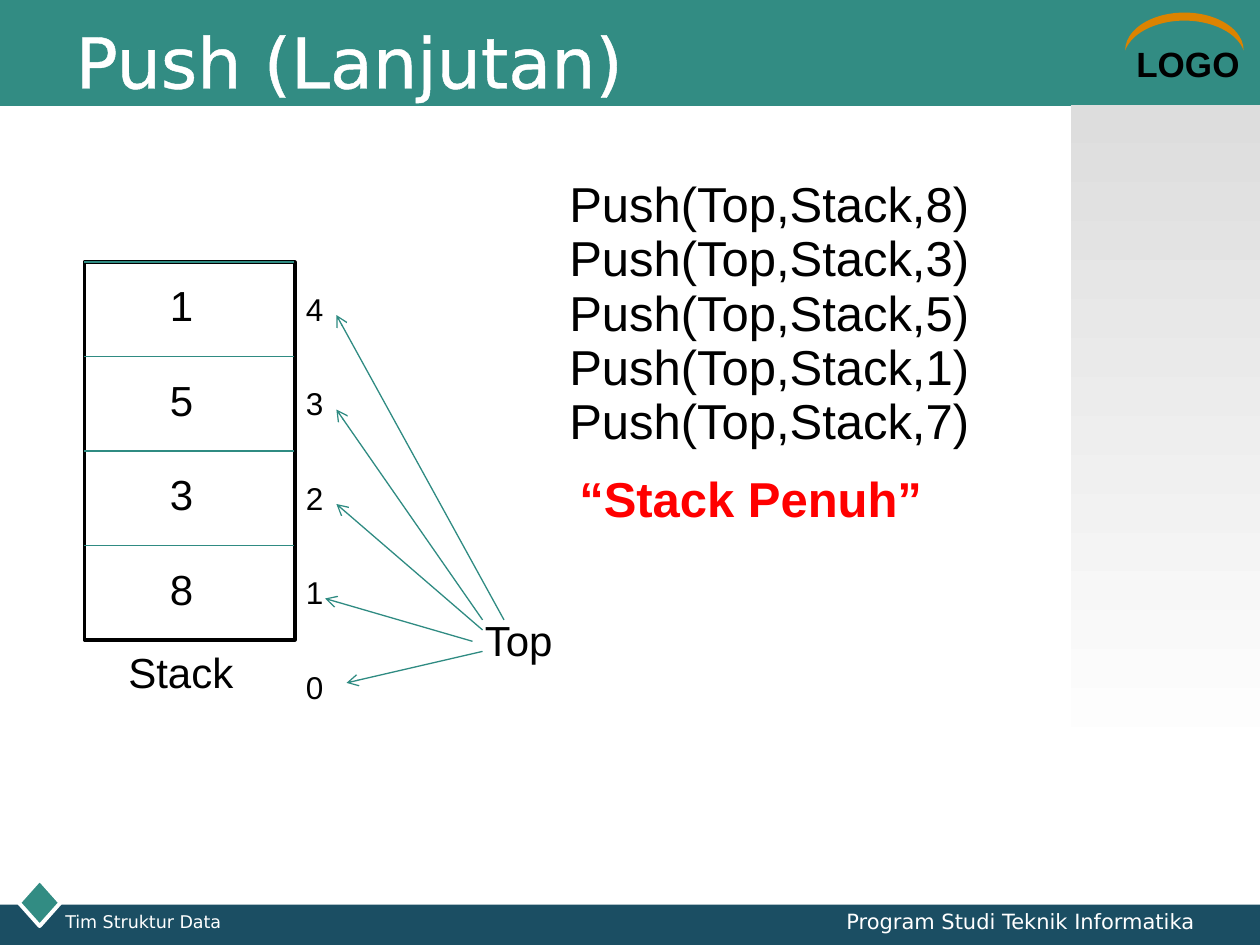
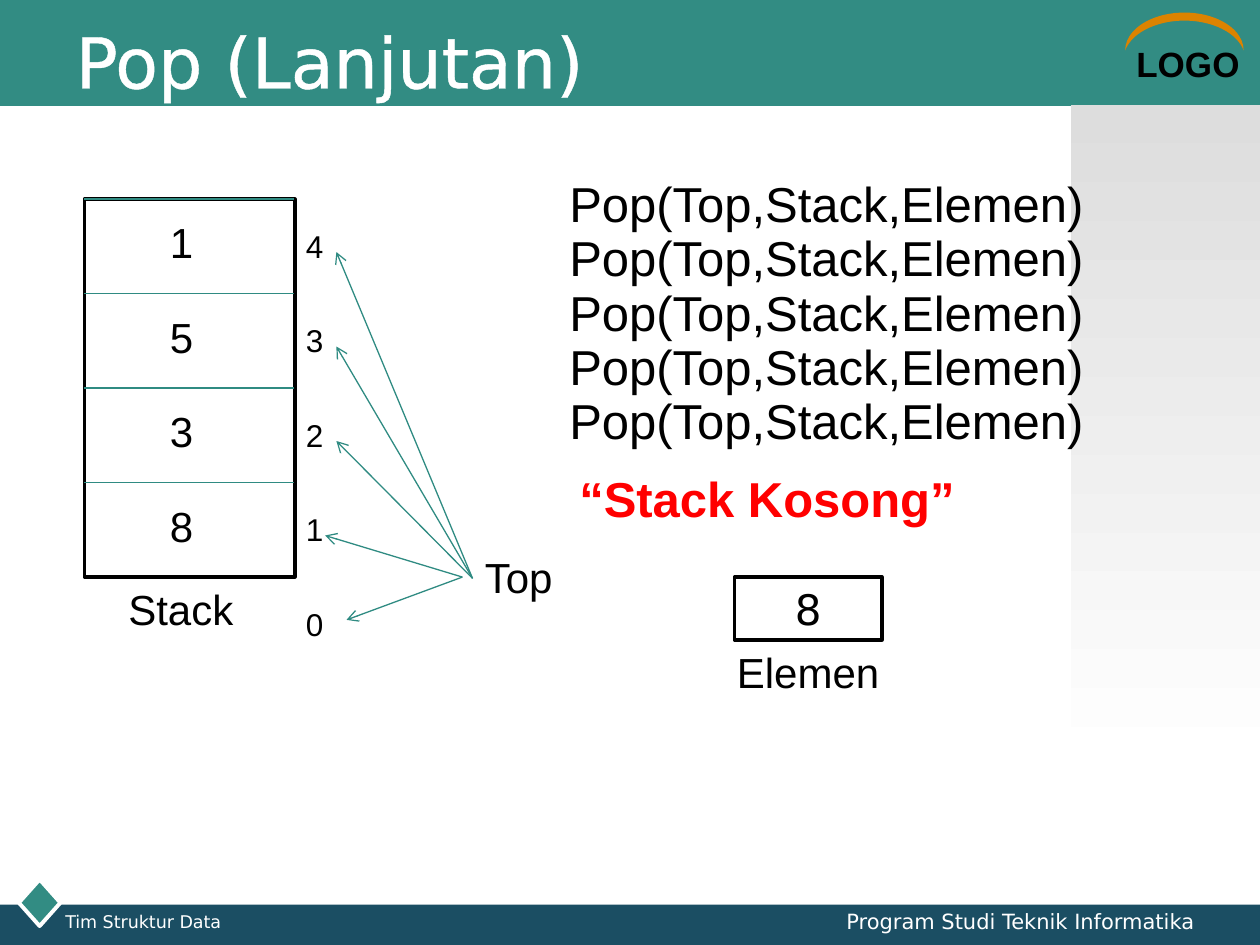
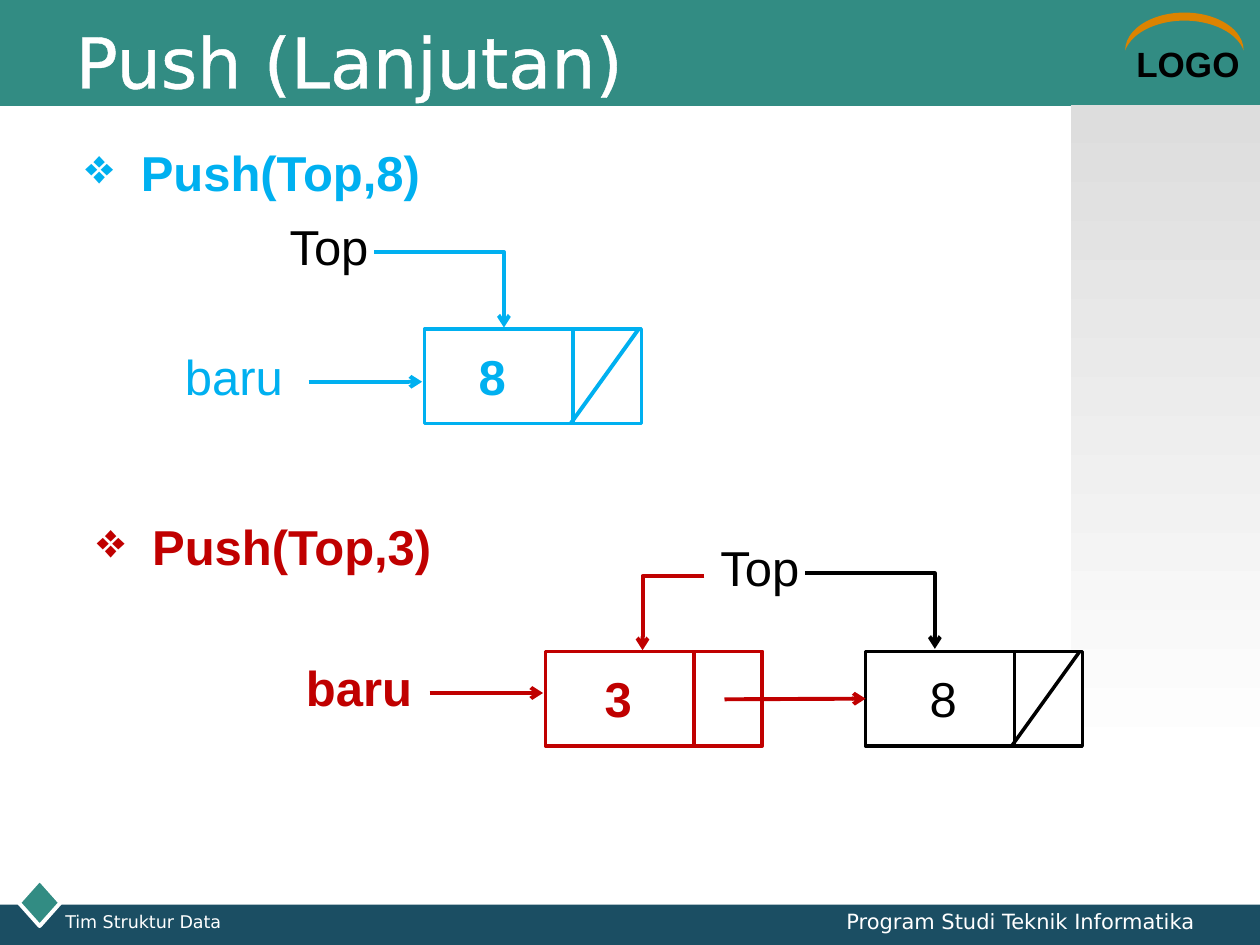
from lxml.etree import SubElement
from pptx import Presentation
from pptx.dml.color import RGBColor
from pptx.enum.shapes import MSO_CONNECTOR, MSO_SHAPE
from pptx.enum.text import MSO_ANCHOR, MSO_AUTO_SIZE, PP_ALIGN
from pptx.oxml import parse_xml
from pptx.oxml.ns import nsdecls, qn
from pptx.util import Inches, Pt

TEAL = RGBColor(0x32, 0x8C, 0x83)
LINE_TEAL = RGBColor(0x2F, 0x8B, 0x82)
NAVY = RGBColor(0x1B, 0x4E, 0x63)
ORANGE = RGBColor(0xDC, 0x83, 0x00)
GREY = RGBColor(0xDD, 0xDD, 0xDD)
WHITE = RGBColor(0xFF, 0xFF, 0xFF)
BLACK = RGBColor(0x00, 0x00, 0x00)
RED = RGBColor(0xFF, 0x00, 0x00)
SKY = RGBColor(0x00, 0xB0, 0xF0)
CRIMSON = RGBColor(0xC0, 0x00, 0x00)

ARIAL = "Arial"
DEJAVU = "DejaVu Sans"

CELL_HEIGHT = 0.75
CALL_STEP = 0.43
POINTER_TIPS = [(2.67, 0.42), (2.67, 1.17), (2.67, 1.92), (2.58, 2.67), (2.75, 3.34)]


def style(paragraph, size, color, font=ARIAL, bold=False):
    paragraph.font.size = Pt(size)
    paragraph.font.name = font
    paragraph.font.bold = bold
    paragraph.font.color.rgb = color


def add_text(slide, text, left, top, width, height, size,
             color=BLACK, font=ARIAL, bold=False, align=PP_ALIGN.LEFT):
    box = slide.shapes.add_textbox(Inches(left), Inches(top), Inches(width), Inches(height))
    box.text_frame.word_wrap = True
    paragraph = box.text_frame.paragraphs[0]
    paragraph.text = text
    paragraph.alignment = align
    style(paragraph, size, color, font, bold)
    return box


def add_block(slide, left, top, width, height, fill=WHITE, line=None, weight=2,
              preset=MSO_SHAPE.RECTANGLE):
    block = slide.shapes.add_shape(
        preset, Inches(left), Inches(top), Inches(width), Inches(height))
    block.shadow.inherit = False
    block.fill.solid()
    block.fill.fore_color.rgb = fill
    if line is None:
        block.line.fill.background()
    else:
        block.line.color.rgb = line
        block.line.width = Pt(weight)
    return block


def add_line(slide, start, end, color=LINE_TEAL, weight=0.75, arrow=False, bent=False):
    kind = MSO_CONNECTOR.ELBOW if bent else MSO_CONNECTOR.STRAIGHT
    line = slide.shapes.add_connector(kind, *map(Inches, start + end))
    line.line.color.rgb = color
    line.line.width = Pt(weight)
    properties = line.element.find(qn("p:spPr"))
    if bent:
        properties.find(qn("a:prstGeom")).set("prst", "bentConnector2")
    if arrow:
        SubElement(properties.find(qn("a:ln")), qn("a:tailEnd"), type="arrow")
    SubElement(properties, qn("a:effectLst"))
    return line


def add_side_panel(slide):
    panel = add_block(slide, 8.5, 0.83, 1.5, 5.25)
    panel.fill.gradient()
    panel.fill.gradient_angle = 270
    for stop, color in zip(panel.fill.gradient_stops, (GREY, WHITE)):
        stop.color.rgb = color
    return panel


def add_arc(slide):
    arc = add_block(slide, 9.25, -0.22, 0.3, 0.94, ORANGE, preset=MSO_SHAPE.MOON)
    arc.adjustments[0] = 0.212
    arc.rotation = 90
    return arc


def share_frame(layout, slide):
    frame = [
        add_block(slide, 0, 0, 10, 0.84, TEAL),
        add_block(slide, 0, 7.18, 10, 0.33, NAVY),
        add_block(slide, 0.15, 6.98, 0.33, 0.37, TEAL, WHITE, 2.25, MSO_SHAPE.DIAMOND),
        add_text(slide, "LOGO", 8.92, 0.29, 1.08, 0.43, 20, bold=True),
        add_arc(slide),
        add_side_panel(slide),
        add_text(slide, "Tim Struktur Data", 0.42, 7.18, 2.67, 0.23, 10, WHITE, DEJAVU),
        add_text(slide, "Program Studi Teknik Informatika", 6.33, 7.16, 3.25, 0.34, 12,
                 WHITE, DEJAVU, align=PP_ALIGN.RIGHT),
    ]
    for part in frame:
        layout.shapes.element.append(part.element)


def set_title(slide, text):
    title = slide.shapes.title
    title.left, title.top, title.width, title.height = map(Inches, (0.5, 0.17, 9, 0.62))
    title.text_frame.auto_size = MSO_AUTO_SIZE.NONE
    title.text_frame.vertical_anchor = MSO_ANCHOR.MIDDLE
    paragraph = title.text_frame.paragraphs[0]
    paragraph.text = text
    paragraph.alignment = PP_ALIGN.LEFT
    style(paragraph, 40, WHITE, DEJAVU)
    outline = parse_xml(
        f'<a:ln {nsdecls("a")} w="{Pt(1.45)}"><a:solidFill>'
        f'<a:srgbClr val="{WHITE}"/></a:solidFill></a:ln>')
    title.element.find(".//" + qn("a:defRPr")).insert(0, outline)


def add_stack(slide, top, pointer_starts):
    add_block(slide, 0.67, top, 1.67, 4 * CELL_HEIGHT, line=BLACK)
    for row, value in enumerate("1538"):
        cell_top = top + row * CELL_HEIGHT
        add_line(slide, (0.67, cell_top), (2.33, cell_top))
        add_text(slide, value, 1.25, cell_top + 0.09, 0.5, 0.5, 24)
    for row in range(5):
        add_text(slide, str(4 - row), 2.33, top + 0.17 + row * CELL_HEIGHT, 0.42, 0.4, 18)
    add_text(slide, "Stack", 0.92, top + 3, 1.17, 0.5, 24)
    add_text(slide, "Top", 3.75, top + 2.75, 1.33, 0.5, 24)
    for start, (tip_left, tip_drop) in zip(pointer_starts, POINTER_TIPS):
        add_line(slide, start, (tip_left, top + tip_drop), arrow=True)


def add_calls(slide, calls, result):
    for row, call in enumerate(calls):
        add_text(slide, call, 4.42, 1.33 + row * CALL_STEP, 5.58, 0.57, 28)
    add_text(slide, result, 4.5, 3.67, 5.5, 0.57, 28, RED, bold=True)


def add_element_box(slide):
    add_text(slide, "Elemen", 5.75, 5.08, 1.83, 0.5, 24)
    element = add_block(slide, 5.83, 4.58, 1.17, 0.5, line=BLACK)
    element.text_frame.vertical_anchor = MSO_ANCHOR.MIDDLE
    paragraph = element.text_frame.paragraphs[0]
    paragraph.text = "8"
    paragraph.alignment = PP_ALIGN.CENTER
    style(paragraph, 24, BLACK, DEJAVU)


def add_heading(slide, text, left, top, color):
    heading = add_text(slide, text, left, top, 3.5, 0.57, 28, color, bold=True)
    properties = heading.element.find(".//" + qn("a:pPr"))
    properties.set("marL", str(Inches(0.44)))
    properties.set("indent", str(-Inches(0.44)))
    bullet = parse_xml(f'<a:buChar {nsdecls("a")} char="❖"/>')
    properties.insert(0, bullet)


def add_node(slide, left, top, value, value_shift, color, bold, last, weight=2.25):
    node = add_block(slide, left, top, 1.72, 0.75, line=color)
    add_line(slide, (left + 1.18, top), (left + 1.18, top + 0.75), color, weight)
    if last:
        add_line(slide, (left + 1.7, top), (left + 1.16, top + 0.75), color, weight)
    add_text(slide, value, left + value_shift, top + 0.09, 0.63, 0.57, 28, color, bold=bold)
    return node


def add_new_pointer(slide, left, top, color, bold=False):
    add_text(slide, "baru", left, top, 1.26, 0.57, 28, color, bold=bold)
    add_line(slide, (left + 1.08, top + 0.33), (left + 1.98, top + 0.33),
             color, 2.25, arrow=True)


def add_top_pointer(slide, left, top, color):
    add_text(slide, "Top", left, top, 1.26, 0.57, 28)
    add_line(slide, (left + 0.77, top + 0.33), (left + 1.8, top + 0.93),
             color, 2.25, arrow=True, bent=True)


def build_push_array(slide):
    set_title(slide, "Push (Lanjutan)")
    add_stack(slide, 2.08, [(4, 4.92), (3.83, 4.92), (3.83, 5), (3.75, 5.09), (3.83, 5.17)])
    add_calls(slide, [f"Push(Top,Stack,{value})" for value in "83517"], "“Stack Penuh”")


def build_pop_array(slide):
    set_title(slide, "Pop (Lanjutan)")
    add_stack(slide, 1.58, [(3.75, 4.59)] * 3 + [(3.67, 4.58)] * 2)
    add_calls(slide, ["Pop(Top,Stack,Elemen)"] * 5, "“Stack Kosong”")
    add_element_box(slide)


def build_push_linked(slide):
    set_title(slide, "Push (Lanjutan)")
    add_heading(slide, "Push(Top,8)", 0.58, 1.08, SKY)
    add_node(slide, 3.37, 2.61, "8", 0.33, SKY, True, True)
    add_new_pointer(slide, 1.37, 2.7, SKY)
    add_top_pointer(slide, 2.2, 1.67, SKY)

    add_heading(slide, "Push(Top,3)", 0.67, 4.05, CRIMSON)
    add_node(slide, 4.33, 5.17, "3", 0.37, CRIMSON, True, False)
    add_new_pointer(slide, 2.33, 5.17, CRIMSON, True)
    old_node = add_node(slide, 6.87, 5.17, "8", 0.41, BLACK, False, True, 2)
    add_top_pointer(slide, 5.62, 4.22, BLACK)
    next_link = add_line(slide, (5.75, 5.55), (6.87, 5.55), CRIMSON, 2.25, arrow=True)
    next_link.end_connect(old_node, 1)
    add_line(slide, (5.59, 4.57), (5.1, 5.16), CRIMSON, 2.25, arrow=True, bent=True)


def main():
    deck = Presentation()
    deck.slide_width, deck.slide_height = Inches(10), Inches(7.5)
    layout = deck.slide_layouts[5]
    builders = (build_push_array, build_pop_array, build_push_linked)
    slides = [deck.slides.add_slide(layout) for _ in builders]
    share_frame(layout, slides[0])
    for build, slide in zip(builders, slides):
        build(slide)
    deck.save("out.pptx")


if __name__ == "__main__":
    main()
